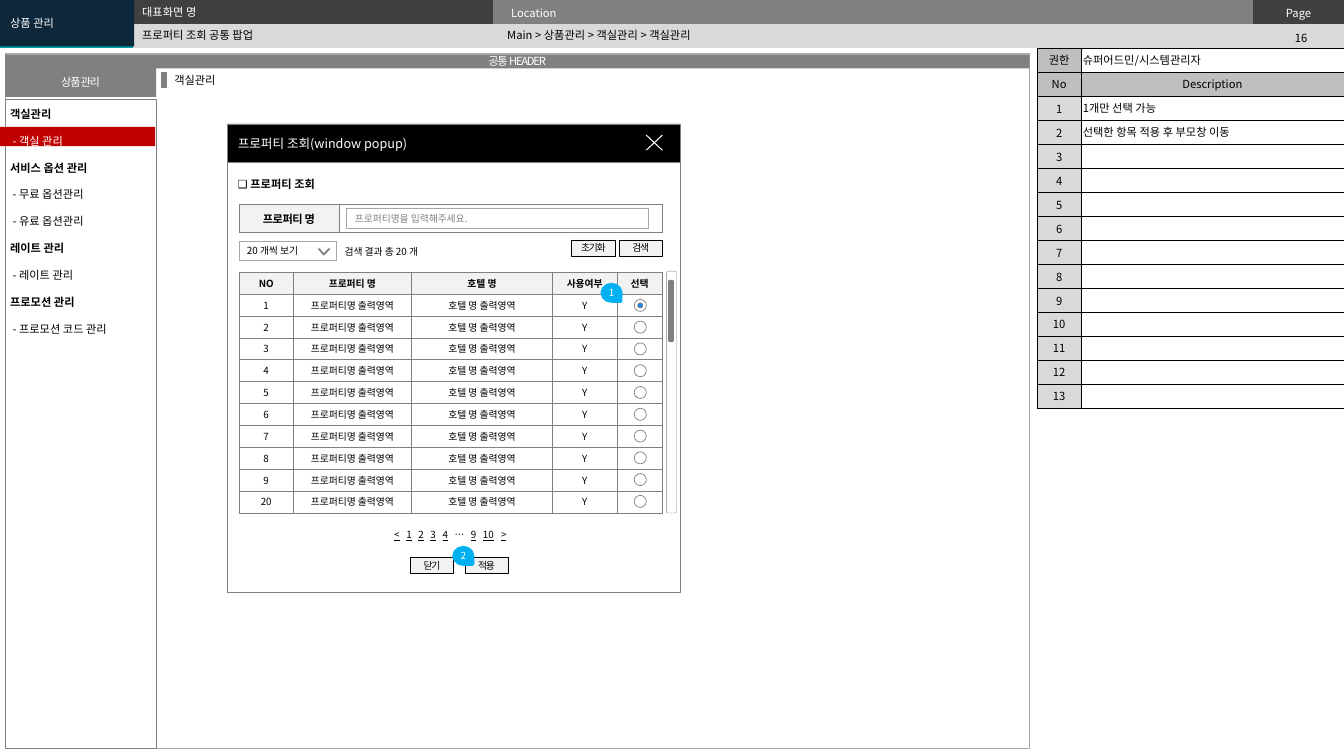
from dataclasses import dataclass
from lxml.etree import SubElement, Element
from pptx import Presentation
from pptx.dml.color import RGBColor
from pptx.enum.shapes import MSO_CONNECTOR, MSO_SHAPE as Shp
from pptx.enum.text import MSO_ANCHOR as Anchor, MSO_AUTO_SIZE as AutoSize, PP_ALIGN as Align
from pptx.oxml.ns import qn
from pptx.util import Inches, Pt

FONT = "Noto Sans CJK KR"
COLS, ROWS = 133.3, 75  # grid over the slide
W, H = Inches(13.33), Inches(7.5)
BLACK, WHITE, GRAY, MID, PALE = "000000", "FFFFFF", "808080", "A6A6A6", "F2F2F2"
CHARCOAL, SILVER, BLUE = "404040", "D9D9D9", "00B0F0"
NO_GRID_STYLE = "{2D5ABB26-0587-4C30-8999-92F81FD0307C}"
C, L = Align.CENTER, Align.LEFT
MIDDLE, TOP = Anchor.MIDDLE, Anchor.TOP


@dataclass
class Box:
    """Place on the grid, in columns and rows."""
    x: float
    y: float
    w: float
    h: float

    def emu(self) -> list[int]:
        return [col(self.x), row(self.y), col(self.w), row(self.h)]


@dataclass
class Button:
    text: str
    x: float
    y: float


@dataclass
class Marker:
    text: str
    x: float
    y: float


@dataclass
class MenuItem:
    text: str
    heading: bool = False
    color: str = BLACK


def col(n: float) -> int:
    return round(W * n / COLS)


def row(n: float) -> int:
    return round(H * n / ROWS)


def rgb(color: str) -> RGBColor:
    return RGBColor.from_string(color)


def add_run(p, text, size=8, color=BLACK, bold=False, underline=False, spacing=0):
    r = p.add_run()
    r.text = text
    f = r.font
    f.size, f.bold, f.underline = Pt(size), bold, underline
    f.color.rgb = rgb(color)
    f.name = FONT
    rpr = f._element
    SubElement(rpr, qn("a:ea"), typeface=FONT)
    if spacing:
        rpr.set("spc", str(round(spacing * 100)))


def frame(host, anchor=TOP, inset=(1, 0.5)):
    """Set anchor and margins of a text frame or a table cell."""
    host.vertical_anchor = anchor
    host.margin_left = host.margin_right = col(inset[0])
    host.margin_top = host.margin_bottom = row(inset[1])


def write(host, text, align=L, anchor=TOP, inset=(1, 0.5), **fmt):
    frame(host, anchor, inset)
    tf = getattr(host, "text_frame", host)
    if tf is host:
        tf.word_wrap, tf.auto_size = True, AutoSize.NONE
    p = tf.paragraphs[0]
    p.alignment = align
    if text:
        add_run(p, text, **fmt)
    else:
        SubElement(p._p, qn("a:endParaRPr"), sz="700")
    return p


def paint(sp, fill=None, line=None, width=0.25):
    if fill:
        sp.fill.solid()
        sp.fill.fore_color.rgb = rgb(fill)
    else:
        sp.fill.background()
    if line:
        sp.line.color.rgb = rgb(line)
        sp.line.width = Pt(width)
    else:
        sp.line.fill.background()
    sp.shadow.inherit = False


def add_shape(s, kind, box: Box, fill=None, line=None, width=0.25):
    sp = s.shapes.add_shape(kind, *box.emu())
    paint(sp, fill, line, width)
    return sp


def add_label(s, box: Box, text, **fmt):
    write(s.shapes.add_textbox(*box.emu()).text_frame, text, **fmt)


def plain(p):
    """Drop the bullet, indent and spacing of the template."""
    ppr = p._p.get_or_add_pPr()
    ppr.set("marL", "0")
    ppr.set("indent", "0")
    SubElement(ppr, qn("a:buNone"))
    p.space_before = Pt(0)


def place(sp, box: Box):
    sp.left, sp.top, sp.width, sp.height = box.emu()
    tree = sp.element.getparent()
    tree.append(sp.element)  # bring to front
    return sp.text_frame


def add_table(s, x, y, widths, height, count):
    box = Box(x, y, sum(widths), height * count)
    t = s.shapes.add_table(count, len(widths), *box.emu()).table
    t.first_row = t.horz_banding = False
    t._tbl.tblPr.find(qn("a:tableStyleId")).text = NO_GRID_STYLE
    for c, w in zip(t.columns, widths):
        c.width = col(w)
    for r in t.rows:
        r.height = row(height)
    return t


def style_cell(cell, fill=None, border=None, width=0.25):
    if fill:
        cell.fill.solid()
        cell.fill.fore_color.rgb = rgb(fill)
    tcpr = cell._tc.get_or_add_tcPr()
    for i, side in enumerate(("lnL", "lnR", "lnT", "lnB") if border else ()):
        ln = Element(qn(f"a:{side}"), w=str(Pt(width)))
        SubElement(SubElement(ln, qn("a:solidFill")), qn("a:srgbClr"), val=border)
        tcpr.insert(i, ln)


def draw_path(s, *strokes, close=False):
    (x, y), *rest = strokes[0]
    fb = s.shapes.build_freeform(col(x), row(y))
    fb.add_line_segments([(col(a), row(b)) for a, b in rest], close=close)
    for (x, y), *rest in strokes[1:]:
        fb.move_to(col(x), row(y))
        fb.add_line_segments([(col(a), row(b)) for a, b in rest], close=close)
    return fb.convert_to_shape()


def draw_header(s):
    t = add_table(s, 0, 0, (13.2, 35.7, 75.4, 9), 2.38, 2)
    labels = (("", "", "Location", "Page"), ("",) * 4)
    fills = (("009CA6", CHARCOAL, GRAY, CHARCOAL), ("009CA6",) + (SILVER,) * 3)
    for i, texts in enumerate(labels):
        for j, text in enumerate(texts):
            write(t.cell(i, j), text, C if j == 3 else L, inset=(1.8, 0.4), color=WHITE)
            style_cell(t.cell(i, j), fills[i][j])
    t.cell(0, 0).merge(t.cell(1, 0))
    add_label(s, Box(124.8, 2.6, 8.5, 2.4), "16", align=C)

    title, location, name, section = list(s.placeholders)[:4]
    section.fill.solid()
    section.fill.fore_color.rgb = rgb("0E273B")
    for sp, box, text, anchor, color in (
        (title, Box(13.1, 2.4, 36.3, 2.2), "프로퍼티 조회 공통 팝업", MIDDLE, BLACK),
        (location, Box(49.3, 2.3, 73.8, 2.4), "Main > 상품관리 > 객실관리 > 객실관리", MIDDLE, BLACK),
        (name, Box(13.1, 0, 36.2, 2.2), "대표화면 명", TOP, WHITE),
        (section, Box(0, 0, 13.3, 4.6), "상품 관리", MIDDLE, WHITE),
    ):
        plain(write(place(sp, box), text, anchor=anchor, color=color))


def draw_page_frame(s):
    add_shape(s, Shp.RECTANGLE, Box(0.5, 5.3, 101.6, 68.9), line=MID)
    add_shape(s, Shp.RECTANGLE, Box(0.5, 9.8, 15, 64.4), line=GRAY)
    for box, text in ((Box(0.5, 5.4, 101.6, 1.4), "공통 HEADER"), (Box(0.5, 6.7, 15, 2.9), "상품 관리")):
        sp = add_shape(s, Shp.RECTANGLE, box, GRAY)
        write(sp.text_frame, text, C, MIDDLE, (0.4, 0), color=WHITE, spacing=-0.9)
    add_label(s, Box(16.3, 6.8, 24.1, 2.4), "객실관리")
    bar = s.shapes.add_connector(MSO_CONNECTOR.STRAIGHT, col(16.3), row(7.1), col(16.3), row(8.7))
    bar.line.color.rgb, bar.line.width = rgb(GRAY), Pt(4.5)
    SubElement(bar._element.spPr, qn("a:effectLst"))


def draw_description(s):
    notes = ["1개만 선택 가능", "선택한 항목 적용 후 부모창 이동"] + [""] * 11
    rows = [("권한", "슈퍼어드민/시스템관리자"), ("No", "Description")]
    rows += [(str(n), note) for n, note in enumerate(notes, 1)]
    t = add_table(s, 102.9, 4.8, (4.3, 26.1), 2.38, len(rows))
    for i, texts in enumerate(rows):
        for j, text in enumerate(texts):
            write(t.cell(i, j), text, C if j == 0 or i == 1 else L, TOP if i < 2 or j else MIDDLE, (0.2, 0.35))
            fill = "BFBFBF" if i == 1 or (i, j) == (0, 0) else SILVER if j == 0 else None
            style_cell(t.cell(i, j), fill, BLACK, 0.5)


def draw_popup(s):
    # Window and search form
    add_shape(s, Shp.RECTANGLE, Box(22.6, 16.1, 44.9, 42.7), WHITE, GRAY, 0.5)
    bar = add_shape(s, Shp.RECTANGLE, Box(22.6, 12.3, 44.9, 3.8), BLACK, GRAY, 0.5)
    write(bar.text_frame, "프로퍼티 조회(window popup)", anchor=MIDDLE, size=9, color=WHITE)
    cross = draw_path(s, ((65.7, 13.4), (64.1, 14.9)), ((64.1, 13.4), (65.7, 14.9)))
    paint(cross, line=WHITE, width=0.75)
    add_label(s, Box(22.6, 17.1, 14, 2.4), "❏ 프로퍼티 조회", bold=True)
    form = add_table(s, 23.7, 20.3, (9.9, 32.1), 2.7, 1)
    for j, (text, fill) in enumerate((("프로퍼티 명", PALE), ("", WHITE))):
        write(form.cell(0, j), text, C, MIDDLE, bold=True, spacing=-0.3)
        style_cell(form.cell(0, j), fill, GRAY)
    add_label(s, Box(33.2, 23.9, 12, 2.2), "검색 결과 총 20 개", size=7)
    for box, text, color in (
        (Box(34.4, 20.7, 29.9, 2), "프로퍼티명을 입력해주세요.", GRAY),
        (Box(23.7, 23.9, 9.7, 1.9), "20 개씩 보기", BLACK),
    ):
        sp = add_shape(s, Shp.RECTANGLE, box, WHITE, MID, 0.5)
        write(sp.text_frame, text, anchor=MIDDLE, inset=(0.8, 0), size=7, color=color)
    arrow = ((32.7, 24.7), (32.6, 24.7), (32.1, 25.2), (31.7, 24.7), (31.6, 24.7), (32.1, 25.3))
    paint(draw_path(s, arrow, close=True), "5F5F5F", GRAY, 0.75)

    # Result list
    rows = [("NO", "프로퍼티 명", "호텔 명", "사용여부", "선택")]
    rows += [(str(n), "프로퍼티명 출력영역", "호텔 명 출력영역", "Y", "") for n in (*range(1, 10), 20)]
    t = add_table(s, 23.7, 27, (5.4, 11.7, 14, 6.4, 4.5), 2.17, len(rows))
    for i, texts in enumerate(rows):
        for j, text in enumerate(texts):
            write(t.cell(i, j), text, C, MIDDLE, (0.3, 0.2), size=7, bold=i == 0)
            style_cell(t.cell(i, j), WHITE if i else PALE, GRAY)
    for i in range(10):
        add_shape(s, Shp.OVAL, Box(62.9, 29.7 + 2.16 * i, 1.2, 1.2), WHITE, GRAY, 0.5)
    add_shape(s, Shp.OVAL, Box(63.25, 30.05, 0.5, 0.5), "1588EC", GRAY, 0.5)
    add_shape(s, Shp.ROUNDED_RECTANGLE, Box(66.1, 26.9, 1, 24), WHITE, GRAY)
    add_shape(s, Shp.ROUNDED_RECTANGLE, Box(66.4, 27.9, 0.3, 5.9), GRAY, GRAY, 2)

    # Page links on tab stops
    links = s.shapes.add_textbox(*Box(38.3, 52.1, 14.5, 2).emu()).text_frame
    p = write(links, "<", inset=(0.8, 0.4), size=7, underline=True)
    tabs = SubElement(p._p.get_or_add_pPr(), qn("a:tabLst"))
    for text, stop in zip("1 2 3 4 … 9 10 >".split(), (1.2, 2.4, 3.6, 4.8, 6, 7.6, 8.8, 10.6)):
        SubElement(tabs, qn("a:tab"), pos=str(col(stop)), algn="l")
        add_run(p, "\t", size=7)
        add_run(p, text, size=7, underline=text != "…")

    # Buttons and numbered markers
    for b in (Button("닫기", 40.7, 55.3), Button("적용", 46.1, 55.3),
              Button("초기화", 56.7, 23.8), Button("검색", 61.4, 23.8)):
        sp = add_shape(s, Shp.RECTANGLE, Box(b.x, b.y, 4.3, 1.6), PALE, BLACK)
        write(sp.text_frame, b.text, C, MIDDLE, (0, 0), size=7, spacing=-0.9)
    for m in (Marker("2", 45.1, 54.2), Marker("1", 59.8, 28.1)):
        sp = add_shape(s, Shp.TEAR, Box(m.x, m.y, 1.7, 1.9), BLUE, BLUE, 2)
        sp.rotation = 90
        write(sp.text_frame, m.text, C, MIDDLE, (0, 0), size=7, color=WHITE)
        sp.text_frame._txBody.bodyPr.set("vert", "vert270")


def draw_menu(s, body):
    items = (
        MenuItem("객실관리", True), MenuItem("- 객실 관리", color=WHITE),
        MenuItem("서비스 옵션 관리", True), MenuItem("- 무료 옵션관리"), MenuItem("- 유료 옵션관리"),
        MenuItem("레이트 관리", True), MenuItem("- 레이트 관리"),
        MenuItem("프로모션 관리", True), MenuItem("- 프로모션 코드 관리"),
    )
    add_shape(s, Shp.RECTANGLE, Box(0, 12.6, 15.4, 1.9), "C00000")
    tf = place(body, Box(0, 8.8, 15.8, 24.8))
    for i, item in enumerate(items):
        fmt = dict(bold=item.heading, color=item.color)
        if i == 0:
            p = write(tf, item.text, **fmt)
        else:
            p = tf.add_paragraph()
            add_run(p, item.text, **fmt)
        plain(p)
        p.line_spacing = Pt(19.2)
        if not item.heading:
            p._p.pPr.set("marL", str(col(0.25)))


def main():
    prs = Presentation()
    prs.slide_width, prs.slide_height = W, H
    s = prs.slides.add_slide(prs.slide_layouts[4])
    menu = list(s.placeholders)[4]
    draw_header(s)
    draw_page_frame(s)
    draw_description(s)
    draw_popup(s)
    draw_menu(s, menu)
    prs.save("out.pptx")


if __name__ == "__main__":
    main()
